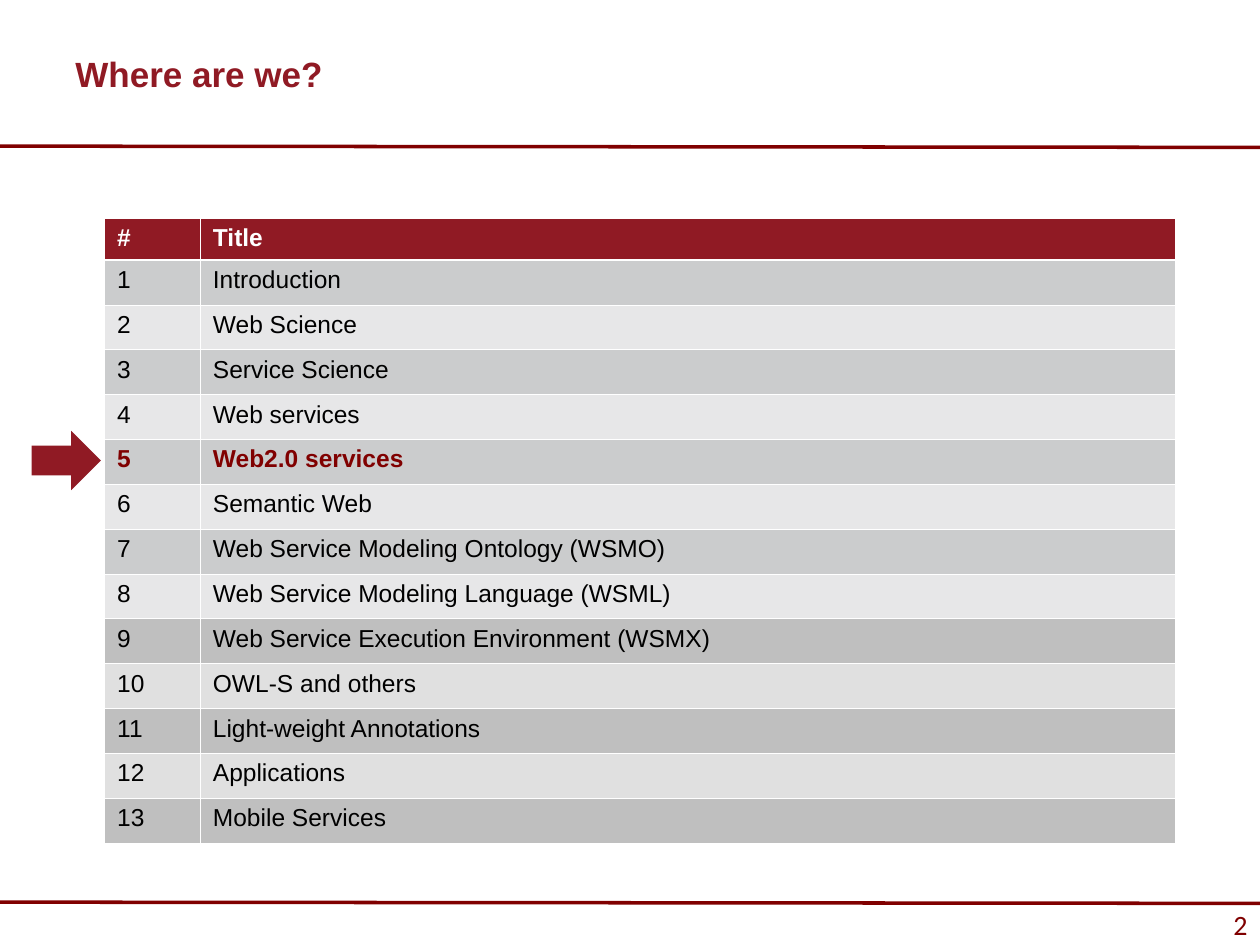
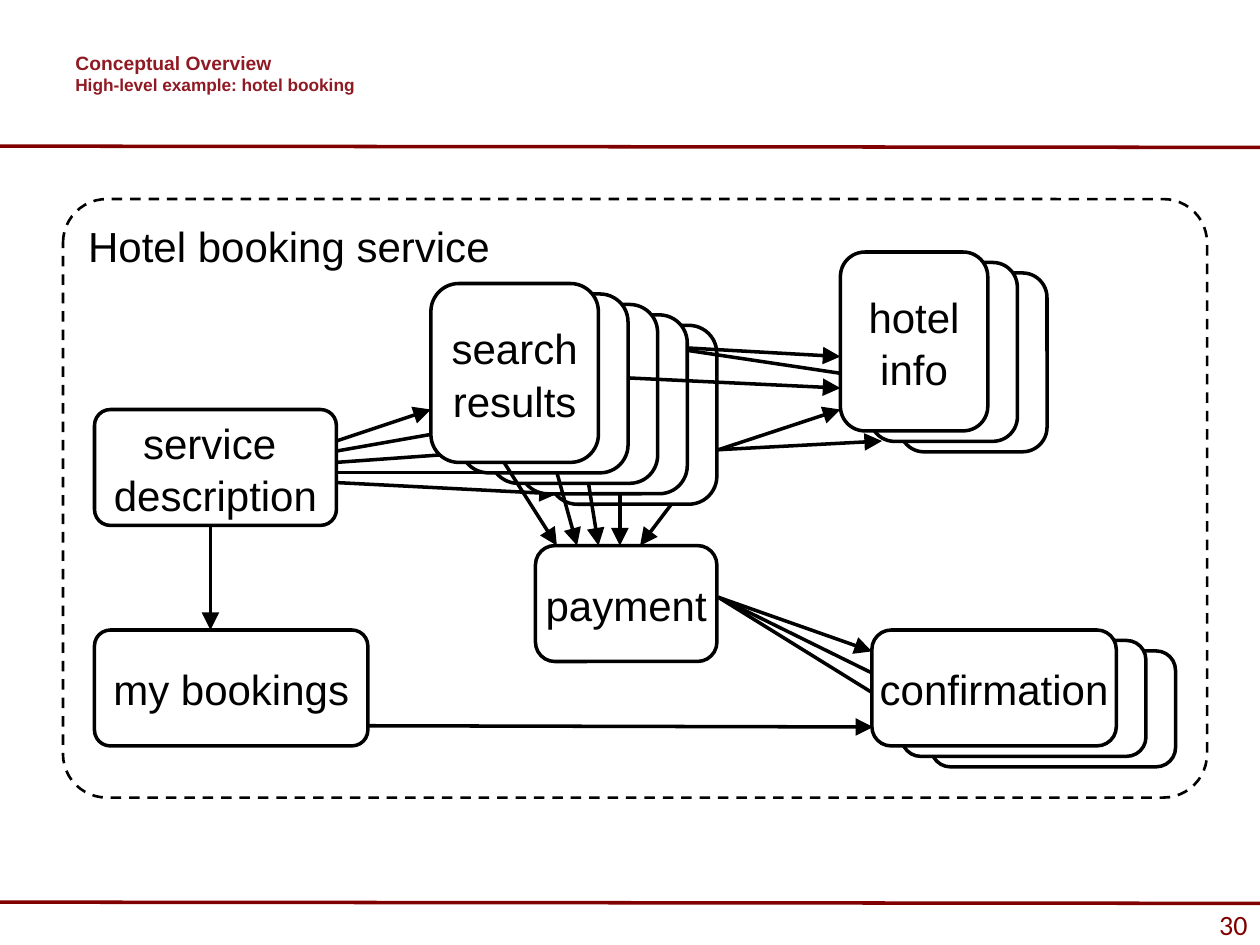
from copy import deepcopy

from lxml.etree import SubElement
from pptx import Presentation
from pptx.dml.color import RGBColor
from pptx.enum.dml import MSO_LINE
from pptx.enum.shapes import MSO_CONNECTOR, MSO_SHAPE
from pptx.enum.text import MSO_ANCHOR, PP_ALIGN
from pptx.oxml.ns import qn
from pptx.util import Inches, Pt

COLORS = {
    "title": "901A24", "rule": "800000", "black": "000000", "white": "FFFFFF",
    "odd": "CBCCCD", "even": "E7E7E8", "late_odd": "BFBFBF", "late_even": "E0E0E0",
}
STACK_STEP = (0.235, 0.083)

TOPICS = [
    "Introduction", "Web Science", "Service Science", "Web services",
    "Web2.0 services", "Semantic Web", "Web Service Modeling Ontology (WSMO)",
    "Web Service Modeling Language (WSML)",
    "Web Service Execution Environment (WSMX)", "OWL-S and others",
    "Light-weight Annotations", "Applications", "Mobile Services",
]
CURRENT_TOPIC = 5
FIRST_LATE_TOPIC = 9


def rgb(name):
    return RGBColor.from_string(COLORS[name])


class Deck:
    """Holds the shared style and the slide being drawn."""

    def __init__(self):
        self.prs = Presentation()
        self.prs.slide_width, self.prs.slide_height = Inches(10), Inches(7.5)
        self.s = None

    def slide(self, title, sizes, number):
        """Start a slide with its title, rules and page number."""
        self.s = self.prs.slides.add_slide(self.prs.slide_layouts[6])
        footer = self.box(0, 7.21, 10, 0.25, shape=MSO_SHAPE.RECTANGLE,
                          fill="white", line=None)
        self.set_text(footer.text_frame, [str(number)], [16], "rule",
                      align=PP_ALIGN.RIGHT, name="Calibri")
        for y in (1.16, 7.16):
            self.line(0, y, 10, y + 0.01, "rule")
        tf = self.s.shapes.add_textbox(*map(Inches, (0.5, 0.33, 6.33, 0.5))).text_frame
        self.set_text(tf, [title], sizes, "title", wrap=True, bold=True)

    def set_text(self, tf, paragraphs, sizes, color, align=PP_ALIGN.LEFT,
                 anchor=MSO_ANCHOR.MIDDLE, wrap=False, spacing=None, **font):
        """Fill a frame; sizes go to the runs in turn, the last one repeating."""
        tf.word_wrap, tf.vertical_anchor = wrap, anchor
        for i, text in enumerate(paragraphs):
            p = tf.paragraphs[0] if i == 0 else tf.add_paragraph()
            p.text, p.alignment = text, align
            if spacing:
                p.line_spacing = spacing
            for j, r in enumerate(p.runs):
                size = sizes[min(j, len(sizes) - 1)]
                self.font(r, size, color, **font)
            for br in p._p.findall(qn("a:br")):
                br.append(deepcopy(p.runs[0]._r.rPr))

    def font(self, r, size, color, **extra):
        values = {"name": "Arial", "size": Pt(size), "bold": False, **extra}
        for key, value in values.items():
            setattr(r.font, key, value)
        r.font.color.rgb = rgb(color)

    def box(self, x, y, w, h, *label, shape=MSO_SHAPE.ROUNDED_RECTANGLE,
            fill=None, line="black", width=2, adj=None, **text):
        sp = self.s.shapes.add_shape(shape, *map(Inches, (x, y, w, h)))
        sp.shadow.inherit = False
        if fill:
            sp.fill.solid()
            sp.fill.fore_color.rgb = rgb(fill)
        else:
            sp.fill.background()
        if line:
            sp.line.color.rgb = rgb(line)
            sp.line.width = Pt(width)
        else:
            sp.line.fill.background()
        if adj is not None:
            sp.adjustments[0] = adj
        if label:
            style = {"align": PP_ALIGN.CENTER, "spacing": 1.05, **text}
            self.set_text(sp.text_frame, label, [24], "black", **style)
        return sp

    def stack(self, x, y, w, h, layers, *label):
        """Draw the given layers of a pile of cards; layer 0 carries the label."""
        dx, dy = STACK_STEP
        for i in layers:
            self.box(x + dx * i, y + dy * i, w, h, *(label if i == 0 else ()),
                     fill="white", adj=0.167)

    def line(self, x1, y1, x2, y2, color="black", arrow=False):
        c = self.s.shapes.add_connector(MSO_CONNECTOR.STRAIGHT,
                                        *map(Inches, (x1, y1, x2, y2)))
        c.line.color.rgb = rgb(color)
        c.line.width = Pt(2)
        if arrow:
            SubElement(c._element.spPr.find(qn("a:ln")), qn("a:tailEnd"),
                       type="triangle", w="lg", len="lg")
        SubElement(c._element.spPr, qn("a:effectLst"))

    def arrows(self, *ends):
        for end in ends:
            self.line(*end, arrow=True)

    def table(self, x, y, widths, heights, rows, styles):
        """Styles holds (fill, text colour, bold) for each row."""
        frame = self.s.shapes.add_table(len(rows), len(widths), *map(
            Inches, (x, y, sum(widths), sum(heights))))
        t = frame.table
        for col, w in zip(t.columns, widths):
            col.width = Inches(w)
        for i, (values, (fill, color, bold)) in enumerate(zip(rows, styles)):
            t.rows[i].height = Inches(heights[i])
            for j, value in enumerate(values):
                cell = t.cell(i, j)
                self.borders(cell, top=1.47 if i == 1 else 0.45,
                             bottom=1.47 if i == 0 else 0.45)
                cell.fill.solid()
                cell.fill.fore_color.rgb = rgb(fill)
                p = cell.text_frame.paragraphs[0]
                p.text = value
                self.font(p.runs[0], 14, color, bold=bold)

    def borders(self, cell, top, bottom):
        sides = {"L": 0.45, "R": 0.45, "T": top, "B": bottom}
        for side, width in sides.items():
            ln = SubElement(cell._tc.get_or_add_tcPr(), qn("a:ln" + side),
                            w=str(int(Pt(width))))
            fill = SubElement(ln, qn("a:solidFill"))
            SubElement(fill, qn("a:srgbClr"), val=COLORS["white"])


def topic_style(n):
    shade = "odd" if n % 2 else "even"
    if n >= FIRST_LATE_TOPIC:
        shade = "late_" + shade
    current = n == CURRENT_TOPIC
    return shade, "rule" if current else "black", current


def where_are_we(deck):
    deck.slide("Where are we?", [20], 2)
    numbered = list(enumerate(TOPICS, 1))
    rows = [("#", "Title")] + [(str(n), topic) for n, topic in numbered]
    styles = [("title", "white", True)] + [topic_style(n) for n, _ in numbered]
    heights = [0.33] + [4.63 / len(TOPICS)] * len(TOPICS)
    deck.table(0.83, 1.73, [0.76, 7.74], heights, rows, styles)
    deck.box(0.25, 3.42, 0.55, 0.47, shape=MSO_SHAPE.RIGHT_ARROW,
             fill="title", line=None)


def hotel_booking(deck):
    deck.slide("Conceptual Overview\nHigh-level example: hotel booking", [11, 9.9], 30)
    search = (3.42, 2.25, 1.33, 1.42)

    # Arrows that run behind the cards
    deck.arrows(
        (5.7, 4.74, 7.08, 5.42), (5.7, 4.74, 7.33, 5.75), (5.7, 4.74, 6.92, 5.17),
        (5.67, 3.58, 6.67, 3.25), (5.5, 3.58, 7, 3.5),
        (2.67, 3.83, 4.42, 3.92), (2.67, 3.67, 3.92, 3.58),
        (2.67, 3.75, 4.17, 3.75), (2.67, 3.58, 3.58, 3.42))

    frame = deck.box(0.5, 1.58, 9.08, 4.75, "Hotel booking service", adj=0.073,
                     width=1.5, align=PP_ALIGN.LEFT, anchor=MSO_ANCHOR.TOP)
    frame.line.dash_style = MSO_LINE.DASH
    deck.box(0.75, 3.25, 1.92, 0.92, "service \ndescription", adj=0.137)

    deck.stack(*search, [4])
    deck.arrows((5.25, 2.75, 6.92, 3), (5.25, 2.75, 6.67, 2.83))
    deck.stack(*search, [3, 2, 1, 0], "search", "results")
    deck.arrows((2.67, 3.5, 3.42, 3.25))
    deck.stack(6.67, 2, 1.17, 1.42, [2, 1, 0], "hotel", "info")

    # Search results to payment
    deck.arrows(
        (4.67, 3.83, 4.75, 4.33), (4.92, 3.92, 4.92, 4.33), (4.42, 3.75, 4.58, 4.33),
        (5.33, 4, 5.08, 4.33), (4, 3.67, 4.42, 4.33))
    deck.stack(6.92, 5, 1.94, 0.92, [2, 1, 0], "confirmation")
    deck.arrows((5, 3, 6.67, 3.08))
    deck.box(0.75, 5, 2.17, 0.92, "my bookings", adj=0.137)
    deck.arrows((1.67, 4.17, 1.67, 5), (2.92, 5.76, 6.93, 5.77))
    deck.stack(4.25, 4.33, 1.44, 0.92, [0], "payment")


def main():
    deck = Deck()
    where_are_we(deck)
    hotel_booking(deck)
    deck.prs.save("out.pptx")


if __name__ == "__main__":
    main()
